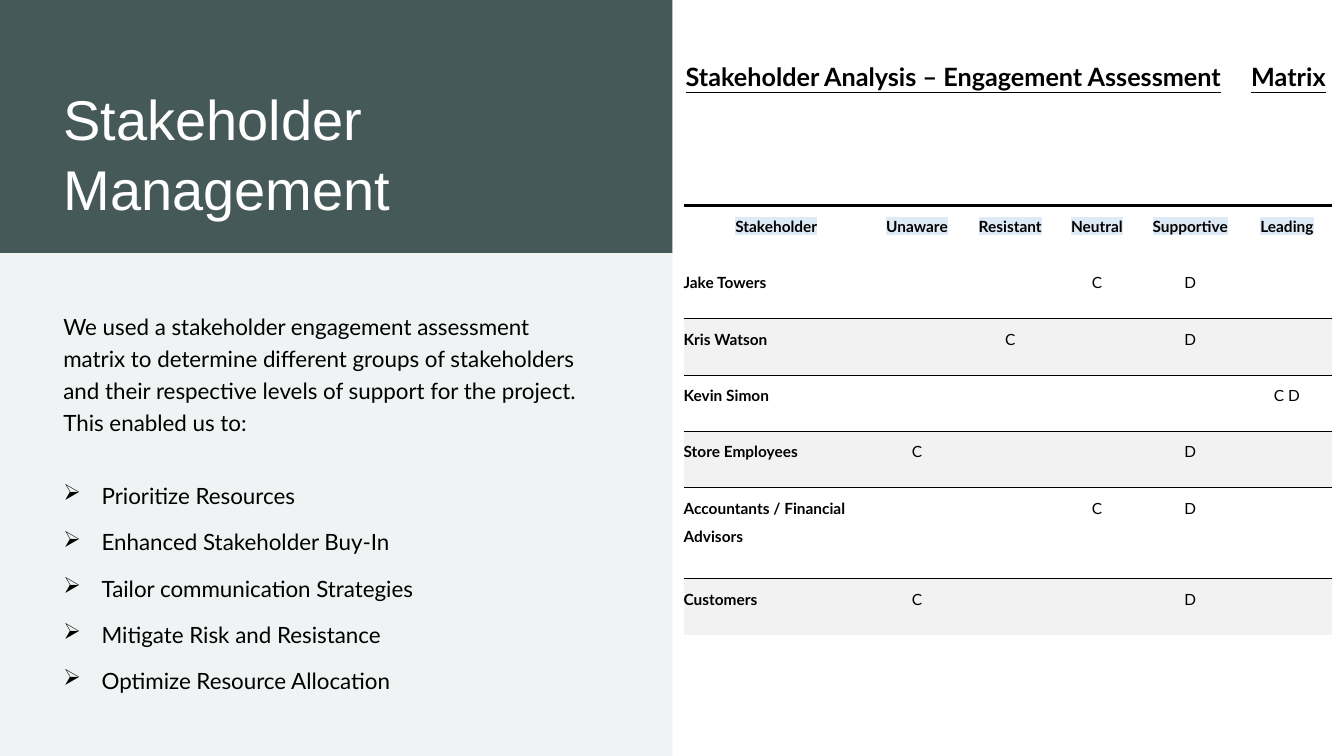
import pptx
import pptx.dml.color
import pptx.enum.shapes
import pptx.enum.text
import pptx.oxml
import pptx.oxml.ns
import pptx.util

Inches = pptx.util.Inches
Pt = pptx.util.Pt
RGBColor = pptx.dml.color.RGBColor
PP_ALIGN = pptx.enum.text.PP_ALIGN
ANCHOR = pptx.enum.text.MSO_ANCHOR

BLACK = RGBColor(0x00, 0x00, 0x00)
WHITE = RGBColor(0xFF, 0xFF, 0xFF)
SLATE = RGBColor(0x46, 0x59, 0x59)
MIST = RGBColor(0xF0, 0xF3, 0xF3)
BAND = RGBColor(0xF2, 0xF2, 0xF2)
HEADER_TINT = RGBColor(0xDE, 0xEA, 0xF6)
NO_TABLE_STYLE = "{2D5ABB26-0587-4C30-8999-92F81FD0307C}"

TITLE_FONT = {"name": "Arial", "size": Pt(40), "color": WHITE}
BODY_FONT = {"name": "Lato", "size": Pt(16), "color": BLACK}
HEADING_FONT = {"name": "Lato", "size": Pt(18), "bold": True, "underline": True, "color": BLACK}
LABEL_FONT = {"name": "Lato", "size": Pt(11), "bold": True, "color": BLACK}
MARK_FONT = {**LABEL_FONT, "bold": False}
CELL_MARGINS = {"margin_left": 0, "margin_top": Inches(0.02),
                "margin_right": Inches(0.05), "margin_bottom": Inches(0.15)}

INTRO = ("We used a stakeholder engagement assessment matrix to determine different groups "
         "of stakeholders and their respective levels of support for the project. "
         "This enabled us to:")
BENEFITS = ["Prioritize Resources", "Enhanced Stakeholder Buy-In",
            "Tailor communication Strategies", "Mitigate Risk and Resistance",
            "Optimize Resource Allocation"]
ENGAGEMENT = [
    ["Stakeholder", "Unaware", "Resistant", "Neutral", "Supportive", "Leading"],
    ["Jake Towers", "", "", "C", "D", ""],
    ["Kris Watson", "", "C", "", "D", ""],
    ["Kevin Simon", "", "", "", "", "C D"],
    ["Store Employees", "C", "", "", "D", ""],
    ["Accountants / Financial Advisors", "", "", "C", "D", ""],
    ["Customers", "C", "", "", "D", ""],
]
COLUMN_WIDTHS = [1.89, 0.9, 0.95, 0.77, 1.08, 0.84]
ROW_HEIGHTS = [0.56, 0.56, 0.56, 0.56, 0.56, 0.9, 0.56]


def apply_format(target, values):
    for attribute, value in values.items():
        if attribute == "color":
            target.color.rgb = value
        else:
            setattr(target, attribute, value)


def xml(tag, content="", attributes=""):
    return pptx.oxml.parse_xml(
        f'<a:{tag} {pptx.oxml.ns.nsdecls("a")} {attributes}>{content}</a:{tag}>')


def solid(color):
    return f'<a:solidFill><a:srgbClr val="{color}"/></a:solidFill>'


def add_panel(slide, left, top, width, height, color):
    panel = slide.shapes.add_shape(pptx.enum.shapes.MSO_SHAPE.RECTANGLE, Inches(left),
                                   Inches(top), Inches(width), Inches(height))
    panel.shadow.inherit = False
    panel.fill.solid()
    panel.fill.fore_color.rgb = color
    panel.line.fill.background()


def add_text_frame(slide, left, top, width, height):
    frame = slide.shapes.add_textbox(Inches(left), Inches(top), Inches(width),
                                     Inches(height)).text_frame
    frame.word_wrap = True
    return frame


def add_title(slide, left, top, width, height):
    # Title band sits in the top third of the panel
    add_panel(slide, left, top, width, height, SLATE)
    title = slide.shapes.title
    apply_format(title, {"left": Inches(left + 0.53), "top": Inches(top + 0.5),
                         "width": Inches(width - 0.89), "height": Inches(height - 0.76)})
    # Bring the title in front of its band
    slide.shapes._spTree.append(title._element)
    frame = title.text_frame
    apply_format(frame, {"text": "Stakeholder Management", "word_wrap": True,
                         "vertical_anchor": ANCHOR.BOTTOM,
                         "auto_size": pptx.enum.text.MSO_AUTO_SIZE.NONE})
    apply_format(frame.paragraphs[0], {"alignment": PP_ALIGN.LEFT, "line_spacing": 1.05})
    apply_format(frame.paragraphs[0].runs[0].font, TITLE_FONT)


def add_benefits(slide, left, top, width, height):
    frame = add_text_frame(slide, left, top, width, height)
    intro = frame.paragraphs[0]
    intro.text = INTRO
    intro.line_spacing = 1.2
    apply_format(intro.runs[0].font, BODY_FONT)
    for index, benefit in enumerate(BENEFITS):
        item = frame.add_paragraph()
        item.text = benefit
        apply_format(item, {"line_spacing": 1.2, "space_before": Pt(10 if index else 29)})
        properties = item._p.get_or_add_pPr()
        properties.set("marL", str(Inches(0.38)))
        properties.set("indent", str(-Inches(0.38)))
        properties.append(xml("buChar", attributes='char="➢"'))
        apply_format(item.runs[0].font, BODY_FONT)


def add_matrix_heading(slide, left, top, width, height):
    frame = add_text_frame(slide, left, top, width, height)
    apply_format(frame, {"vertical_anchor": ANCHOR.MIDDLE, "margin_left": Inches(0.12),
                         "margin_right": Inches(0.05)})
    heading = frame.paragraphs[0]
    heading.line_spacing = 1.1
    # A tab stop sets the last word apart
    stop = f'<a:tab pos="{Inches(5.61)}" algn="l"/>'
    heading._p.get_or_add_pPr().append(xml("tabLst", stop))
    run = heading.add_run()
    run.text = "Stakeholder Analysis – Engagement Assessment\tMatrix"
    apply_format(run.font, HEADING_FONT)


def add_cell_rule(cell, side, points):
    cell._tc.get_or_add_tcPr().insert(
        0, xml(f"ln{side}", solid(BLACK), f'w="{Pt(points)}"'))


def fill_cell(cell, text, row, column):
    banded = row > 0 and row % 2 == 0
    apply_format(cell, CELL_MARGINS)
    cell.fill.solid()
    cell.fill.fore_color.rgb = BAND if banded else WHITE
    if row == 0:
        add_cell_rule(cell, "T", 2.25)
    elif banded:
        add_cell_rule(cell, "T", 0.5)
    else:
        add_cell_rule(cell, "B", 0.5)

    label = cell.text_frame.paragraphs[0]
    is_name = column == 0 and row > 0
    apply_format(label, {"line_spacing": 1.5,
                         "alignment": PP_ALIGN.LEFT if is_name else PP_ALIGN.CENTER})
    if not text:
        label.font.size = Pt(11)
        return
    run = label.add_run()
    run.text = text
    apply_format(run.font, LABEL_FONT if row == 0 or column == 0 else MARK_FONT)
    if row == 0:
        # Highlight follows the text fill
        highlight = xml("highlight", f'<a:srgbClr val="{HEADER_TINT}"/>')
        run._r.get_or_add_rPr().insert(1, highlight)


def add_engagement_matrix(slide, left, top, width, height):
    frame = slide.shapes.add_table(len(ROW_HEIGHTS), len(COLUMN_WIDTHS), Inches(left),
                                   Inches(top), Inches(width), Inches(height))
    matrix = frame.table
    apply_format(matrix, {"first_row": False, "horz_banding": False})
    matrix._tbl.tblPr.find(pptx.oxml.ns.qn("a:tableStyleId")).text = NO_TABLE_STYLE
    for column, column_width in zip(matrix.columns, COLUMN_WIDTHS):
        column.width = Inches(column_width)
    for row, row_height in zip(matrix.rows, ROW_HEIGHTS):
        row.height = Inches(row_height)
    for row, entries in enumerate(ENGAGEMENT):
        for column, text in enumerate(entries):
            fill_cell(matrix.cell(row, column), text, row, column)


def main():
    deck = pptx.Presentation()
    deck.slide_width = Inches(13.33)
    deck.slide_height = Inches(7.5)
    slide = deck.slides.add_slide(deck.slide_layouts[5])

    # Left half: title and benefits
    add_panel(slide, 0, 0, 6.67, 7.5, MIST)
    add_title(slide, 0, 0, 6.67, 2.51)
    add_benefits(slide, 0.53, 3, 5.49, 4)

    # Right half: engagement matrix
    add_matrix_heading(slide, 6.68, 0.37, 6.59, 0.74)
    add_engagement_matrix(slide, 6.78, 2.04, sum(COLUMN_WIDTHS), sum(ROW_HEIGHTS))

    deck.save("out.pptx")


if __name__ == "__main__":
    main()
